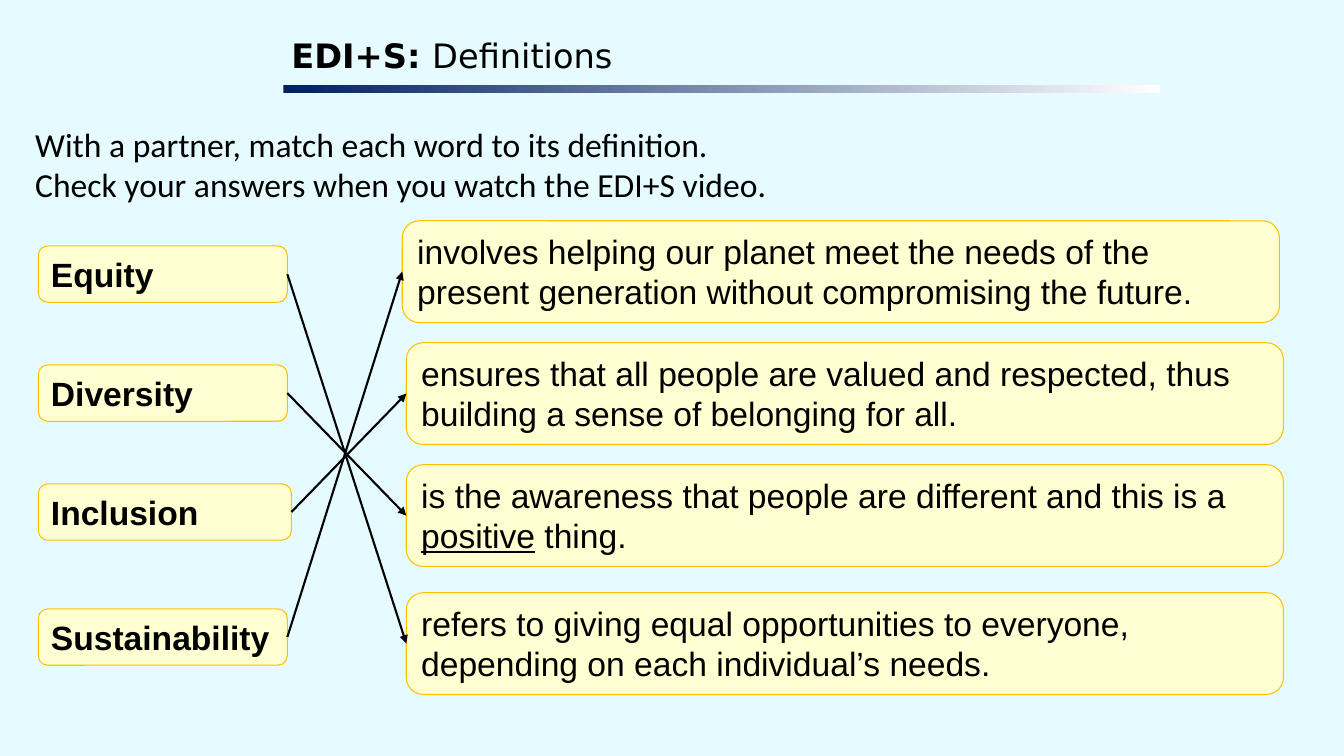
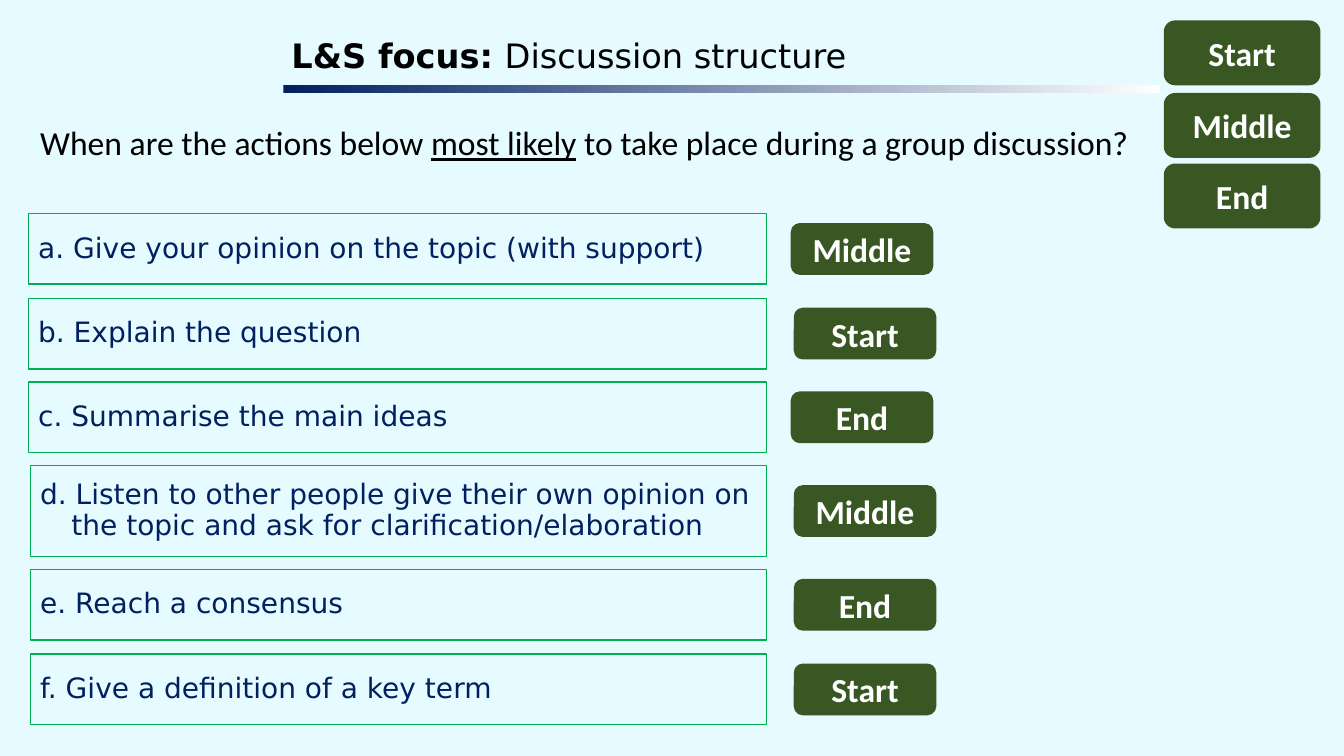
import pptx
import pptx.util
import pptx.dml.color
import pptx.enum.shapes
import pptx.enum.text
import pptx.oxml
import pptx.oxml.ns

Inches = pptx.util.Inches
Pt = pptx.util.Pt
SHAPE = pptx.enum.shapes.MSO_SHAPE
ALIGN = pptx.enum.text.PP_ALIGN
ANCHOR = pptx.enum.text.MSO_ANCHOR

COLORS = {
    "background": "E5FBFF",
    "black": "000000",
    "white": "FFFFFF",
    "navy": "002060",
    "cream": "FFFFD1",
    "gold": "FFC000",
    "green": "00B050",
    "forest": "385723",
}

FONTS = {
    "title": {"name": "DejaVu Sans", "size": Pt(24), "color": "black"},
    "prompt": {"name": "Calibri", "size": Pt(24), "color": "black"},
    "match": {"name": "Arial", "size": Pt(24), "color": "black"},
    "action": {"name": "DejaVu Sans", "size": Pt(20), "color": "navy"},
    "tag": {"name": "Calibri", "size": Pt(24), "color": "white", "bold": True},
}
BOLD = {"bold": True}
UNDERLINED = {"underline": True}

TERMS = [
    ("Equity", 2.44, 2.47, 3),
    ("Diversity", 3.62, 2.47, 2),
    ("Inclusion", 4.8, 2.51, 1),
    ("Sustainability", 6.04, 2.47, 0),
]
DEFINITIONS = [
    (3.99, 2.19, [("involves helping our planet meet the needs of the present "
                   "generation without compromising the future.", {})]),
    (4.03, 3.4, [("ensures that all people are valued and respected, thus "
                  "building a sense of belonging for all.", {})]),
    (4.03, 4.61, [("is the awareness that people are different and this is a ", {}),
                  ("positive", UNDERLINED), (" thing.", {})]),
    (4.03, 5.88, [("refers to giving equal opportunities to everyone, "
                   "depending on each individual’s needs.", {})]),
]
ACTIONS = [
    ("a. Give your opinion on the topic (with support)", 0.28, 2.12, 0.7, "Middle", 7.85),
    ("b. Explain the question", 0.28, 2.96, 0.7, "Start", 7.88),
    ("c. Summarise the main ideas", 0.28, 3.79, 0.7, "End", 7.85),
    ("d. Listen to other people give their own opinion on the topic and ask for "
     "clarification/elaboration", 0.3, 4.62, 0.9, "Middle", 7.88),
    ("e. Reach a consensus", 0.3, 5.65, 0.7, "End", 7.88),
    ("f. Give a definition of a key term", 0.3, 6.49, 0.7, "Start", 7.88),
]
STAGES = [("Start", 0.21), ("Middle", 0.93), ("End", 1.63)]


def rgb(name):
    return pptx.dml.color.RGBColor.from_string(COLORS[name])


def set_format(target, values):
    for name, value in values.items():
        if name == "color":
            target.color.rgb = rgb(value)
        else:
            setattr(target, name, value)


def write_text(box, paragraphs, font, anchor=ANCHOR.TOP, para_format=None, frame_format=None):
    frame = box.text_frame
    set_format(frame, {"word_wrap": True, "vertical_anchor": anchor, **(frame_format or {})})
    for index, spans in enumerate(paragraphs):
        para = frame.add_paragraph() if index else frame.paragraphs[0]
        set_format(para, {"alignment": ALIGN.LEFT, **(para_format or {})})
        for text, emphasis in spans:
            span = para.add_run()
            span.text = text
            set_format(span.font, {**FONTS[font], **emphasis})


def add_text(page, bounds, paragraphs, font, **options):
    box = page.shapes.add_textbox(*map(Inches, bounds))
    write_text(box, paragraphs, font, **options)
    return box


def add_panel(page, kind, bounds, fill=None, line=None, width=1):
    panel = page.shapes.add_shape(kind, *map(Inches, bounds))
    panel.shadow.inherit = False
    if fill:
        panel.fill.solid()
        panel.fill.fore_color.rgb = rgb(fill)
    else:
        panel.fill.background()
    if line:
        set_format(panel.line, {"color": line, "width": Pt(width)})
    else:
        panel.line.fill.background()
    return panel


def add_page(deck, topic, subject):
    page = deck.slides.add_slide(deck.slide_layouts[6])
    page.background.fill.solid()
    page.background.fill.fore_color.rgb = rgb("background")
    margins = {f"margin_{side}": Inches(0.04) for side in ("left", "top", "right", "bottom")}
    add_text(page, (2.85, 0.31, 8.66, 0.53), [[(topic, BOLD), (subject, {})]], "title",
             frame_format=margins)
    rule = add_panel(page, SHAPE.RECTANGLE, (2.81, 0.84, 8.7, 0.08))
    rule.fill.gradient()
    rule.fill.gradient_angle = 0
    for stop, color, position in zip(rule.fill.gradient_stops, ("navy", "white"), (0, 1)):
        stop.color.rgb = rgb(color)
        stop.position = position
    return page


def add_match_box(page, bounds, spans):
    box = add_panel(page, SHAPE.ROUNDED_RECTANGLE, bounds, "cream", "gold", 0.75)
    write_text(box, [spans], "match")
    return box


def add_arrow(page, source, target):
    arrow = page.shapes.add_connector(pptx.enum.shapes.MSO_CONNECTOR.STRAIGHT, 0, 0, 0, 0)
    arrow.begin_connect(source, 3)
    arrow.end_connect(target, 1)
    set_format(arrow.line, {"color": "black", "width": Pt(1.5)})
    head = pptx.oxml.parse_xml(f'<a:tailEnd {pptx.oxml.ns.nsdecls("a")} type="triangle"/>')
    arrow.line._get_or_add_ln().append(head)
    effects = pptx.oxml.parse_xml(f'<a:effectLst {pptx.oxml.ns.nsdecls("a")}/>')
    arrow._element.spPr.append(effects)


def add_tag(page, bounds, label):
    tag = add_panel(page, SHAPE.ROUNDED_RECTANGLE, bounds, "forest", "forest")
    write_text(tag, [[(label, {})]], "tag", ANCHOR.MIDDLE, {"alignment": ALIGN.CENTER})


def add_action(page, bounds, action, stage, tag_left):
    left, top, width, height = bounds
    row = add_panel(page, SHAPE.RECTANGLE, bounds, line="green")
    write_text(row, [[(action, {})]], "action", ANCHOR.MIDDLE, {"line_spacing": 0.9})
    properties = row.text_frame.paragraphs[0]._p.get_or_add_pPr()
    properties.set("marL", str(Inches(0.31)))
    properties.set("indent", str(-Inches(0.31)))
    tag_height = 0.5
    add_tag(page, (tag_left, top + (height - tag_height) / 2, 1.4, tag_height), stage)


def build_definitions(deck):
    page = add_page(deck, "EDI+S: ", "Definitions")
    add_text(page, (0.25, 1.18, 12.05, 0.91), [
        [("With a partner, match each word to its definition.", {})],
        [("Check your answers when you watch the EDI+S video.", {})],
    ], "prompt")
    definitions = [add_match_box(page, (left, top, 8.7, 1.01), spans)
                   for left, top, spans in DEFINITIONS]
    for word, top, width, answer in TERMS:
        term = add_match_box(page, (0.38, top, width, 0.56), [(word, BOLD)])
        add_arrow(page, term, definitions[answer])


def build_discussion(deck):
    page = add_page(deck, "L&S focus: ", "Discussion structure")
    add_text(page, (0.3, 1.21, 11.02, 0.67), [[
        ("When are the actions below ", {}),
        ("most likely", UNDERLINED),
        (" to take place during a group discussion?", {}),
    ]], "prompt", para_format={"line_spacing": 0.9})
    for stage, top in STAGES:
        add_tag(page, (11.55, top, 1.54, 0.63), stage)
    right = 7.6
    for action, left, top, height, stage, tag_left in ACTIONS:
        add_action(page, (left, top, right - left, height), action, stage, tag_left)


def main():
    deck = pptx.Presentation()
    set_format(deck, {"slide_width": Inches(13.33), "slide_height": Inches(7.5)})
    build_definitions(deck)
    build_discussion(deck)
    deck.save("out.pptx")


if __name__ == "__main__":
    main()
